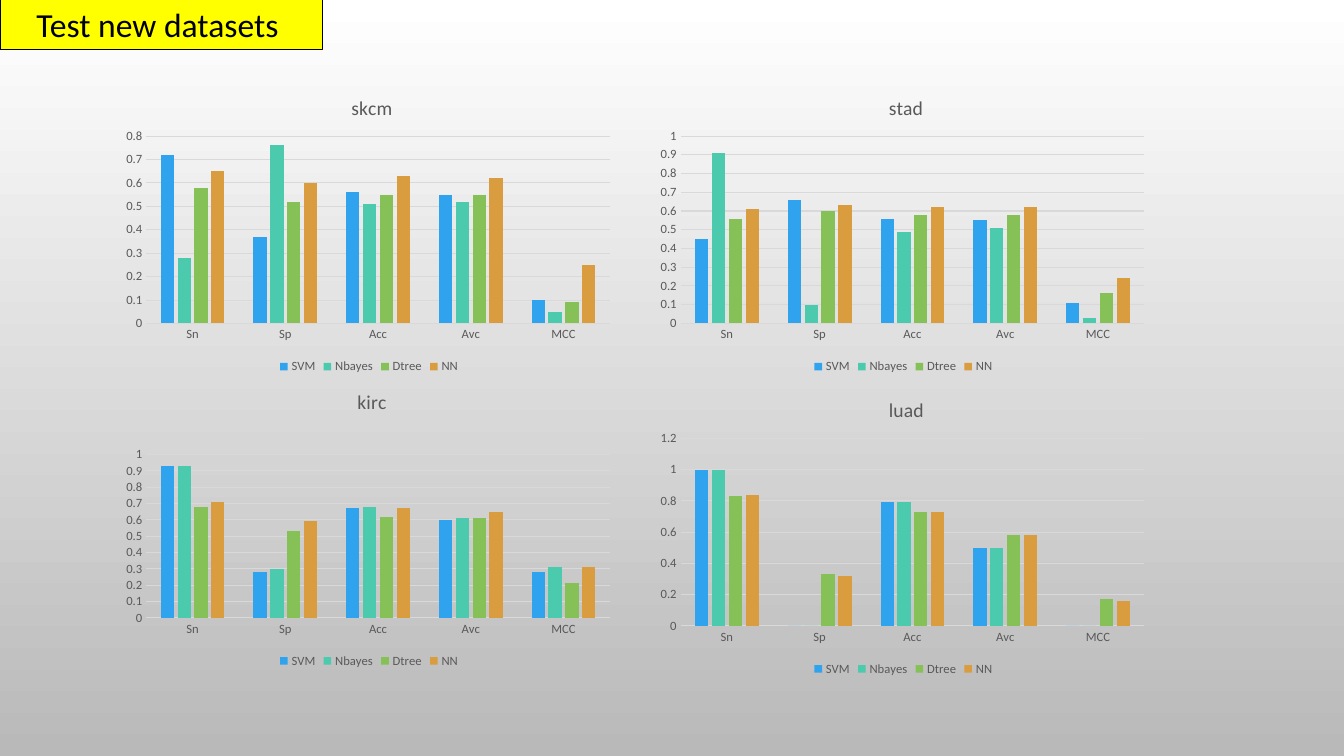
from lxml import etree
from pptx import Presentation
from pptx.chart.data import CategoryChartData
from pptx.dml.color import RGBColor
from pptx.enum.chart import XL_CHART_TYPE, XL_LEGEND_POSITION, XL_TICK_MARK
from pptx.enum.text import MSO_ANCHOR, MSO_AUTO_SIZE, PP_ALIGN
from pptx.oxml import parse_xml
from pptx.oxml.ns import nsdecls, qn
from pptx.util import Inches, Pt

COLORS = {
    "black": "000000", "banner": "FFFF00", "label": "595959", "grid": "D9D9D9",
    "top": "FFFFFF", "bottom": "B9B9B9",
    "SVM": "2FA3EE", "Nbayes": "4BCAAD", "Dtree": "86C157", "NN": "D99C3F",
}
FONT = "Calibri"
MEASURES = ["Sn", "Sp", "Acc", "Avc", "MCC"]
CHART_SIZE = (5, 3)
LEFT_COLUMN, RIGHT_COLUMN = 1.16, 6.46
# Title and plot places are fractions of the chart box.
DATASETS = [
    {"name": "skcm", "at": (LEFT_COLUMN, 0.75), "title_left": 0.458,
     "plot": (0.2, 0.62), "scale": (0.8, 0.1),
     "values": {"SVM": [0.72, 0.37, 0.56, 0.55, 0.1],
                "Nbayes": [0.28, 0.76, 0.51, 0.52, 0.05],
                "Dtree": [0.58, 0.52, 0.55, 0.55, 0.09],
                "NN": [0.65, 0.6, 0.63, 0.62, 0.25]}},
    {"name": "stad", "at": (RIGHT_COLUMN, 0.75), "title_left": 0.464,
     "plot": (0.2, 0.62), "scale": (1, 0.1),
     "values": {"SVM": [0.45, 0.66, 0.56, 0.55, 0.11],
                "Nbayes": [0.91, 0.1, 0.49, 0.51, 0.03],
                "Dtree": [0.56, 0.6, 0.58, 0.58, 0.16],
                "NN": [0.61, 0.63, 0.62, 0.62, 0.24]}},
    {"name": "kirc", "at": (LEFT_COLUMN, 3.67), "title_left": 0.47,
     "plot": (0.28, 0.54), "scale": (1, 0.1),
     "values": {"SVM": [0.93, 0.28, 0.67, 0.6, 0.28],
                "Nbayes": [0.93, 0.3, 0.68, 0.61, 0.31],
                "Dtree": [0.68, 0.53, 0.62, 0.61, 0.21],
                "NN": [0.71, 0.59, 0.67, 0.65, 0.31]}},
    {"name": "luad", "at": (RIGHT_COLUMN, 3.75), "title_left": 0.464,
     "plot": (0.2, 0.62), "scale": (1.2, 0.2),
     "values": {"SVM": [1, 0, 0.79, 0.5, 0],
                "Nbayes": [1, 0, 0.79, 0.5, 0],
                "Dtree": [0.83, 0.33, 0.73, 0.58, 0.17],
                "NN": [0.84, 0.32, 0.73, 0.58, 0.16]}},
]


def color(name):
    return RGBColor.from_string(COLORS[name])


def set_font(font, size, color_name):
    formats = {"name": FONT, "size": Pt(size), "bold": False}
    for attribute, value in formats.items():
        setattr(font, attribute, value)
    font.color.rgb = color(color_name)


def set_line(line, color_name):
    line.color.rgb = color(color_name)
    line.width = Pt(0.75)


def paint_background(slide):
    fill = slide.background.fill
    fill.gradient()
    fill.gradient_angle = 270
    for stop, name, position in zip(fill.gradient_stops, ("top", "bottom"), (0, 1)):
        stop.color.rgb = color(name)
        stop.position = position


def add_banner(slide, left, top, width, height):
    title = slide.shapes.title
    title.left, title.top = Inches(left), Inches(top)
    title.width, title.height = Inches(width), Inches(height)
    title.fill.solid()
    title.fill.fore_color.rgb = color("banner")
    set_line(title.line, "black")
    frame = title.text_frame
    frame.text = "Test new datasets "
    frame.auto_size = MSO_AUTO_SIZE.NONE
    frame.vertical_anchor = MSO_ANCHOR.MIDDLE
    paragraph = frame.paragraphs[0]
    paragraph.alignment = PP_ALIGN.CENTER
    set_font(paragraph.runs[0].font, 24, "black")


def manual_layout(places, inner=False):
    """Return a c:layout element with the given x, y, w and h fractions."""
    layout = parse_xml(f"<c:layout {nsdecls('c')}><c:manualLayout/></c:layout>")
    settings = {"layoutTarget": "inner"} if inner else {}
    settings.update(xMode="edge", yMode="edge", **places)
    for tag, value in settings.items():
        etree.SubElement(layout[0], qn(f"c:{tag}")).set("val", str(value))
    return layout


def clear_fill():
    return parse_xml(
        f"<c:spPr {nsdecls('c', 'a')}><a:noFill/><a:ln><a:noFill/></a:ln></c:spPr>")


def place_parts(chart, title_left, plot_top, plot_height):
    """Fix the title and plot inside the chart, and make the chart clear."""
    title = chart.chart_title._element
    plot_area = chart._chartSpace.chart.plotArea
    for parent in (title, plot_area):
        for layout in parent.findall(qn("c:layout")):
            parent.remove(layout)
    title.find(qn("c:tx")).addnext(manual_layout({"x": title_left, "y": 0.05}))
    plot_area.insert(0, manual_layout(
        {"x": 0.058, "y": plot_top, "w": 0.92, "h": plot_height}, inner=True))
    plot_area.append(clear_fill())
    chart._chartSpace.chart.addnext(clear_fill())


def format_axes(chart, maximum, step):
    category_axis, value_axis = chart.category_axis, chart.value_axis
    for axis in (category_axis, value_axis):
        axis.major_tick_mark = axis.minor_tick_mark = XL_TICK_MARK.NONE
        set_font(axis.tick_labels.font, 9, "label")
    set_line(category_axis.format.line, "grid")
    value_axis.format.line.fill.background()
    set_line(value_axis.major_gridlines.format.line, "grid")
    value_axis.minimum_scale, value_axis.maximum_scale = 0, maximum
    value_axis.major_unit = step
    value_axis.tick_labels.number_format = "General"
    value_axis.tick_labels.number_format_is_linked = False


def add_dataset_chart(slide, dataset, left, top, width, height):
    data = CategoryChartData()
    data.categories = MEASURES
    for classifier, values in dataset["values"].items():
        data.add_series(classifier, values)
    chart = slide.shapes.add_chart(
        XL_CHART_TYPE.COLUMN_CLUSTERED, Inches(left), Inches(top),
        Inches(width), Inches(height), data).chart
    set_font(chart.font, 10, "black")
    chart.has_title = True
    chart.chart_title.include_in_layout = False
    chart.chart_title.text_frame.text = dataset["name"]
    set_font(chart.chart_title.text_frame.paragraphs[0].runs[0].font, 14, "label")
    chart.has_legend = True
    chart.legend.position = XL_LEGEND_POSITION.BOTTOM
    chart.legend.include_in_layout = False
    set_font(chart.legend.font, 9, "label")
    format_axes(chart, *dataset["scale"])
    plot = chart.plots[0]
    plot.gap_width, plot.overlap = 219, -27
    plot.vary_by_categories = False
    for series in plot.series:
        series.format.fill.solid()
        series.format.fill.fore_color.rgb = color(series.name)
    place_parts(chart, dataset["title_left"], *dataset["plot"])


def main():
    presentation = Presentation()
    presentation.slide_width, presentation.slide_height = Inches(13.33), Inches(7.5)
    slide = presentation.slides.add_slide(presentation.slide_layouts[5])
    paint_background(slide)
    add_banner(slide, 0, -0.01, 3.2, 0.5)
    for dataset in DATASETS:
        add_dataset_chart(slide, dataset, *dataset["at"], *CHART_SIZE)
    presentation.save("out.pptx")


if __name__ == "__main__":
    main()
